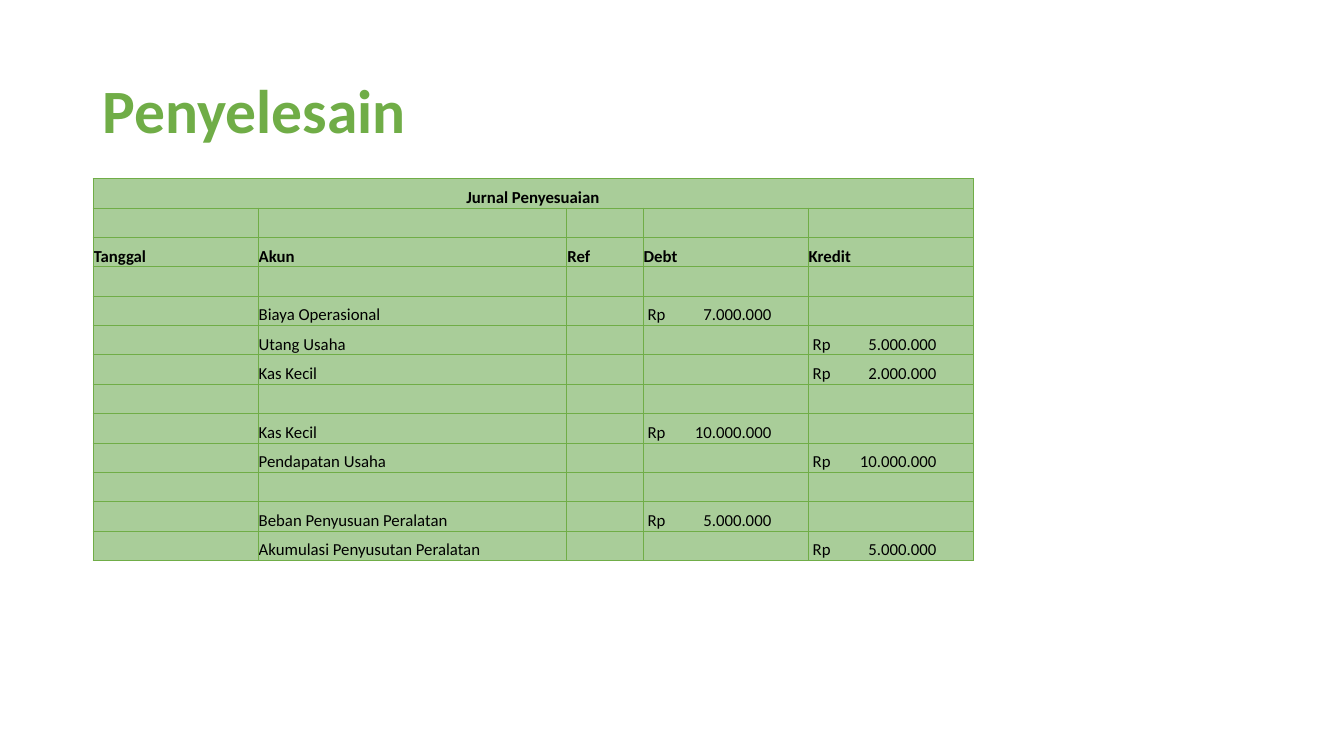
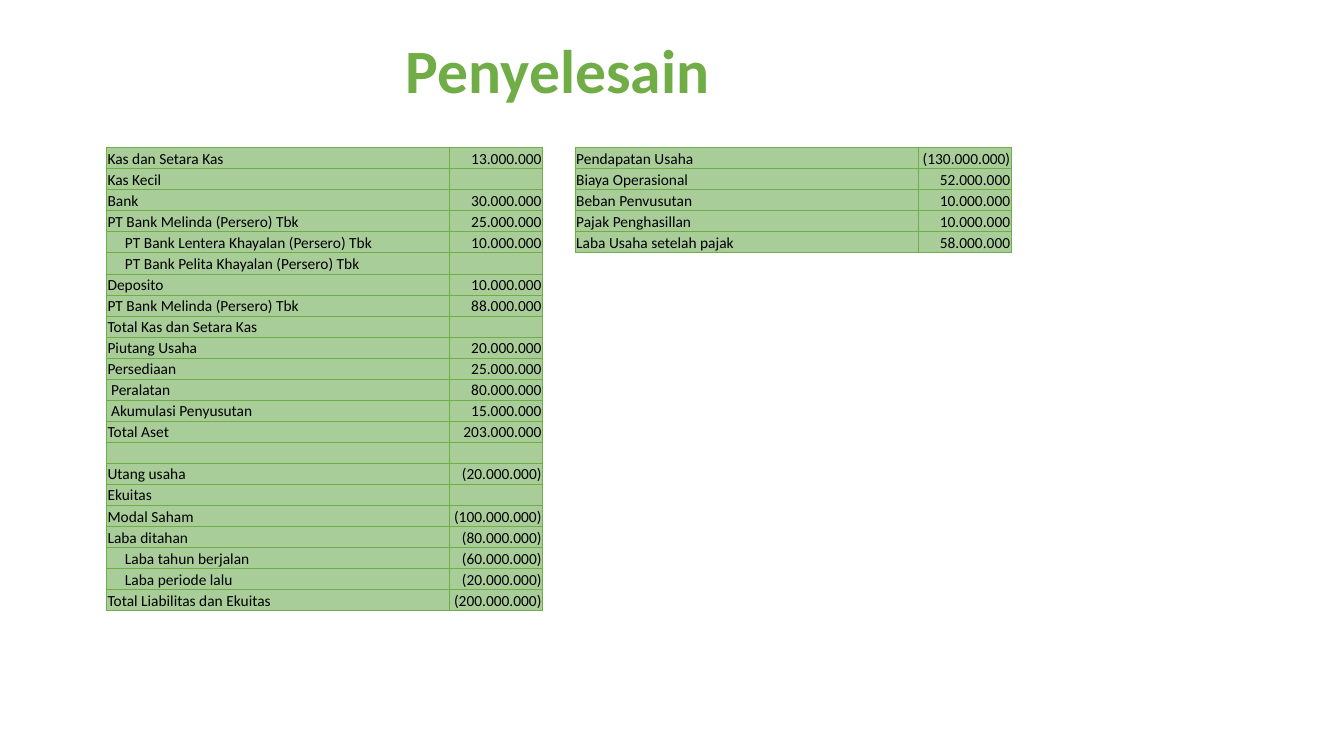
from dataclasses import dataclass

from lxml.etree import SubElement
from pptx import Presentation
from pptx.dml.color import RGBColor
from pptx.enum.text import MSO_ANCHOR as Anchor, PP_ALIGN as Align
from pptx.oxml.ns import qn
from pptx.util import Cm, Pt

# Shared look
COLORS = {"accent": "70AD47", "cell": "A9CD99", "text": "000000"}
FONT = "Calibri"
TITLE = "Penyelesain"
TITLE_HEIGHT = 3.68
INSET = 0.02
NUDGE = 0.11
INDENT = 0.46
AMOUNT_INSET = 0.12
AMOUNT_TAB = 3.12


@dataclass(frozen=True)
class Entry:
    """One table cell; lengths are in centimetres."""
    text: str = ""
    align: Align = Align.LEFT
    bold: bool = False
    inset: float = INSET
    tab: float = 0


@dataclass(frozen=True)
class Sheet:
    """One table; lengths are in centimetres."""
    left: float
    top: float
    columns: tuple[float, ...]
    row_height: float
    size: float
    rows: list[list[Entry]]
    heading: bool = False


def rgb(name: str) -> RGBColor:
    return RGBColor.from_string(COLORS[name])


def style_paragraph(para, size: float, color: str, bold: bool) -> None:
    for span in para.runs:
        span.font.name = FONT
        span.font.size = Pt(size)
        span.font.bold = bold
        span.font.color.rgb = rgb(color)


def add_title(page, left: float, top: float, width: float) -> None:
    box = page.shapes.add_textbox(Cm(left), Cm(top), Cm(width), Cm(TITLE_HEIGHT))
    frame = box.text_frame
    frame.word_wrap = True
    frame.vertical_anchor = Anchor.MIDDLE
    frame.text = TITLE
    para = frame.paragraphs[0]
    para.line_spacing = 0.9
    style_paragraph(para, 44, "accent", True)


def add_borders(cell) -> None:
    properties = cell._tc.get_or_add_tcPr()
    for side in ("a:lnL", "a:lnR", "a:lnT", "a:lnB"):
        line = SubElement(properties, qn(side), w=str(Pt(0.5)))
        fill = SubElement(line, qn("a:solidFill"))
        SubElement(fill, qn("a:srgbClr"), val=COLORS["accent"])


def fill_cell(cell, entry: Entry, size: float) -> None:
    add_borders(cell)
    cell.fill.solid()
    cell.fill.fore_color.rgb = rgb("cell")
    cell.vertical_anchor = Anchor.BOTTOM
    cell.margin_left = Cm(entry.inset)
    cell.margin_right = cell.margin_top = Cm(INSET)
    cell.margin_bottom = Cm(0)
    para = cell.text_frame.paragraphs[0]
    para.text = entry.text
    para.alignment = entry.align
    style_paragraph(para, size, "text", entry.bold)
    if entry.tab:
        stops = SubElement(para._p.get_or_add_pPr(), qn("a:tabLst"))
        SubElement(stops, qn("a:tab"), pos=str(Cm(entry.tab)), algn="r")
    if not entry.text:
        # Keeps empty rows as low as the others
        SubElement(para._p, qn("a:endParaRPr"), sz=str(int(size * 100)))


def add_sheet(page, sheet: Sheet) -> None:
    count = len(sheet.rows)
    table = page.shapes.add_table(
        count, len(sheet.columns), Cm(sheet.left), Cm(sheet.top),
        Cm(sum(sheet.columns)), Cm(sheet.row_height * count)).table
    table.first_row = table.horz_banding = False
    for column, width in zip(table.columns, sheet.columns):
        column.width = Cm(width)
    for row, entries in zip(table.rows, sheet.rows):
        row.height = Cm(sheet.row_height)
        for cell, entry in zip(row.cells, entries):
            fill_cell(cell, entry, sheet.size)
    if sheet.heading:
        table.cell(0, 0).merge(table.cell(0, len(sheet.columns) - 1))


def journal_row(account: str = "", debit: str = "", credit: str = "") -> list[Entry]:
    amounts = [Entry(f"Rp\t{value}", inset=AMOUNT_INSET, tab=AMOUNT_TAB)
               if value else Entry() for value in (debit, credit)]
    return [Entry(), Entry(account), Entry(), *amounts]


def balance_row(account: str = "", amount: str = "", inset: float = INSET) -> list[Entry]:
    return [Entry(account, inset=inset), Entry(amount, Align.RIGHT)]


# Adjusting journal
JOURNAL = Sheet(2.34, 4.5, (4.16, 7.78, 1.92, 4.16, 4.16), 0.74, 12, [
    [Entry("Jurnal Penyesuaian", Align.CENTER, True)] + [Entry()] * 4,
    journal_row(),
    [Entry(name, bold=True) for name in ("Tanggal", "Akun", "Ref", "Debt", "Kredit")],
    journal_row(),
    journal_row("Biaya Operasional", debit="7.000.000"),
    journal_row("Utang Usaha", credit="5.000.000"),
    journal_row("Kas Kecil", credit="2.000.000"),
    journal_row(),
    journal_row("Kas Kecil", debit="10.000.000"),
    journal_row("Pendapatan Usaha", credit="10.000.000"),
    journal_row(),
    journal_row("Beban Penyusuan Peralatan", debit="5.000.000"),
    journal_row("Akumulasi Penyusutan Peralatan", credit="5.000.000"),
], heading=True)

# Balance sheet and income statement
BALANCE_COLUMNS = (8.64, 2.34)
BALANCE_TOP = 3.72
BALANCE_ROW = 0.53
BALANCE = Sheet(2.69, BALANCE_TOP, BALANCE_COLUMNS, BALANCE_ROW, 11, [
    balance_row("Kas dan Setara Kas", "13.000.000"),
    balance_row("Kas Kecil"),
    balance_row("Bank", "30.000.000"),
    balance_row("PT Bank Melinda (Persero) Tbk", "25.000.000"),
    balance_row("PT Bank Lentera Khayalan (Persero) Tbk", "10.000.000", INDENT),
    balance_row("PT Bank Pelita Khayalan (Persero) Tbk", inset=INDENT),
    balance_row("Deposito", "10.000.000"),
    balance_row("PT Bank Melinda (Persero) Tbk", "88.000.000"),
    balance_row("Total Kas dan Setara Kas"),
    balance_row("Piutang Usaha", "20.000.000"),
    balance_row("Persediaan", "25.000.000"),
    balance_row("Peralatan", "80.000.000", NUDGE),
    balance_row("Akumulasi Penyusutan", "15.000.000", NUDGE),
    balance_row("Total Aset", "203.000.000"),
    balance_row(),
    balance_row("Utang usaha", "(20.000.000)"),
    balance_row("Ekuitas"),
    balance_row("Modal Saham", "(100.000.000)"),
    balance_row("Laba ditahan", "(80.000.000)"),
    balance_row("Laba tahun berjalan", "(60.000.000)", INDENT),
    balance_row("Laba periode lalu", "(20.000.000)", INDENT),
    balance_row("Total Liabilitas dan Ekuitas", "(200.000.000)"),
])
INCOME = Sheet(14.5, BALANCE_TOP, BALANCE_COLUMNS, BALANCE_ROW, 11, [
    balance_row("Pendapatan Usaha", "(130.000.000)"),
    balance_row("Biaya Operasional", "52.000.000"),
    balance_row("Beban Penvusutan", "10.000.000"),
    balance_row("Pajak Penghasillan", "10.000.000"),
    balance_row("Laba Usaha setelah pajak", "58.000.000"),
])


def main() -> None:
    deck = Presentation()
    deck.slide_width, deck.slide_height = Cm(33.87), Cm(19.05)
    blank = deck.slide_layouts[6]

    journal_page = deck.slides.add_slide(blank)
    add_title(journal_page, 2.33, 1.01, 29.21)
    add_sheet(journal_page, JOURNAL)

    balance_page = deck.slides.add_slide(blank)
    add_title(balance_page, 9.98, 0.02, 9.02)
    for sheet in (BALANCE, INCOME):
        add_sheet(balance_page, sheet)

    deck.save("out.pptx")


if __name__ == "__main__":
    main()
